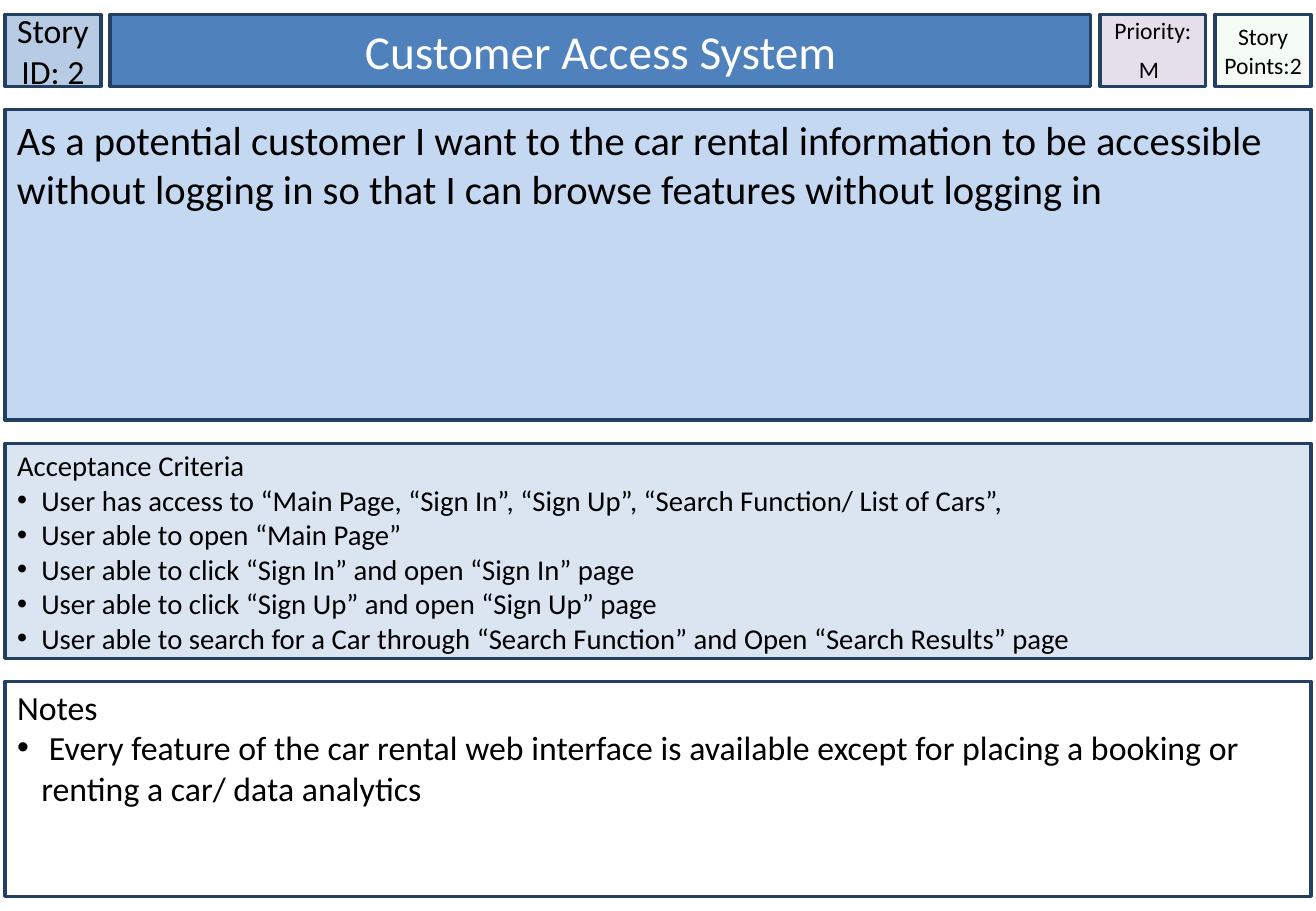
from lxml import etree
from pptx import Presentation
from pptx.dml.color import RGBColor
from pptx.enum.shapes import MSO_SHAPE
from pptx.enum.text import MSO_ANCHOR, MSO_AUTO_SIZE, PP_ALIGN
from pptx.oxml.ns import qn
from pptx.util import Inches, Pt

RECTANGLE = MSO_SHAPE.RECTANGLE
TOP, MIDDLE = MSO_ANCHOR.TOP, MSO_ANCHOR.MIDDLE
LEFT, CENTER = PP_ALIGN.LEFT, PP_ALIGN.CENTER
FIXED = MSO_AUTO_SIZE.NONE

BLACK = RGBColor(0x00, 0x00, 0x00)
WHITE = RGBColor(0xFF, 0xFF, 0xFF)
BORDER = RGBColor(0x24, 0x40, 0x61)
ID_BLUE = RGBColor(0xB7, 0xCC, 0xE4)
TITLE_BLUE = RGBColor(0x4F, 0x81, 0xBD)
STORY_BLUE = RGBColor(0xC5, 0xD8, 0xF1)
CRITERIA_BLUE = RGBColor(0xDA, 0xE5, 0xF1)
PRIORITY_LILAC = RGBColor(0xE5, 0xDF, 0xEC)
POINTS_GREEN = RGBColor(0xCC, 0xF0, 0xCD)

STORY_ID = ["Story ID: 2"]
TITLE = ["Customer Access System"]
PRIORITY = ["Priority:", "M"]
POINTS = ["Story Points:2"]
STORY = [
    "As a potential customer I want to the car rental information to be accessible "
    "without logging in so that I can browse features without logging in"
]
CRITERIA = [
    "Acceptance Criteria",
    "User has access to “Main Page, “Sign In”, “Sign Up”, “Search Function/ List of Cars”,",
    "User able to open “Main Page”",
    "User able to click “Sign In” and open “Sign In” page",
    "User able to click “Sign Up” and open “Sign Up” page",
    "User able to search for a Car through “Search Function” and Open “Search Results” page",
]
NOTES = [
    "Notes",
    " Every feature of the car rental web interface is available except for "
    "placing a booking or renting a car/ data analytics",
]

SLIDE_WIDTH, SLIDE_HEIGHT = 10.83, 7.5
MARGIN, HEADER_TOP, ROW_GAP = 0.04, 0.12, 0.19
CARD_WIDTH = SLIDE_WIDTH - 2 * MARGIN
HEADER_WIDTHS = [0.79, 8.07, 0.87, 0.79]
ROW_HEIGHTS = [0.59, 2.56, 1.77, 1.77]
COLUMN_GAP = (CARD_WIDTH - sum(HEADER_WIDTHS)) / (len(HEADER_WIDTHS) - 1)
INDENT = Inches(0.2)


def starts(first, lengths, gap):
    return [first + sum(lengths[:i]) + i * gap for i in range(len(lengths))]


def set_bullet(paragraph, bulleted):
    properties = paragraph._p.get_or_add_pPr()
    properties.set("marL", str(INDENT if bulleted else 0))
    properties.set("indent", str(-INDENT if bulleted else 0))
    if bulleted:
        etree.SubElement(properties, qn("a:buFont"), typeface="Arial")
        etree.SubElement(properties, qn("a:buChar"), char="•")
    else:
        etree.SubElement(properties, qn("a:buNone"))


def fill_panel(panel, bounds, fill, lines, size, color=BLACK, align=LEFT,
               anchor=TOP, side=0.1, top=0.05):
    panel.left, panel.top, panel.width, panel.height = map(Inches, bounds)
    panel.shadow.inherit = False
    panel.fill.solid()
    panel.fill.fore_color.rgb = fill
    panel.line.color.rgb = BORDER
    panel.line.width = Pt(2)
    frame = panel.text_frame
    frame.text = "\n".join(lines)
    frame.word_wrap = True
    frame.auto_size = FIXED
    frame.vertical_anchor = anchor
    frame.margin_left = frame.margin_right = Inches(side)
    frame.margin_top, frame.margin_bottom = Inches(top), Inches(0.05)
    for number, paragraph in enumerate(frame.paragraphs):
        set_bullet(paragraph, align == LEFT and number > 0)
        paragraph.alignment = align
        paragraph.space_before = Pt(0)
        paragraph.font.name = "Calibri"
        paragraph.font.size = Pt(size)
        paragraph.font.color.rgb = color


prs = Presentation()
prs.slide_width, prs.slide_height = Inches(SLIDE_WIDTH), Inches(SLIDE_HEIGHT)
slide = prs.slides.add_slide(prs.slide_layouts.get_by_name("Two Content"))
title, criteria, notes = list(slide.placeholders)[:3]
story_id, priority, points, story = [
    slide.shapes.add_shape(RECTANGLE, 0, 0, 0, 0) for _ in range(4)
]

row_tops = starts(HEADER_TOP, ROW_HEIGHTS, ROW_GAP)
column_lefts = starts(MARGIN, HEADER_WIDTHS, COLUMN_GAP)

header = [
    (story_id, ID_BLUE, STORY_ID, 20, BLACK, 0),
    (title, TITLE_BLUE, TITLE, 28, WHITE, 0.1),
    (priority, PRIORITY_LILAC, PRIORITY, 14, BLACK, 0),
    (points, POINTS_GREEN, POINTS, 14, BLACK, 0),
]
for (panel, fill, lines, size, color, side), left, width in zip(header, column_lefts, HEADER_WIDTHS):
    fill_panel(panel, (left, row_tops[0], width, ROW_HEIGHTS[0]), fill, lines, size,
               color, CENTER, MIDDLE, side)

body = [
    (story, STORY_BLUE, STORY, 24, 0.05),
    (criteria, CRITERIA_BLUE, CRITERIA, 17, 0.04),
    (notes, WHITE, NOTES, 20, 0.04),
]
for (panel, fill, lines, size, inset), row_top, height in zip(body, row_tops[1:], ROW_HEIGHTS[1:]):
    fill_panel(panel, (MARGIN, row_top, CARD_WIDTH, height), fill, lines, size, top=inset)

priority_space = priority.text_frame.paragraphs[1].add_run()
priority_space.text = " "
priority_space.font.size = Pt(20)

points_color = points.fill._xPr.find(qn("a:solidFill"))[0]
etree.SubElement(points_color, qn("a:alpha"), val="20000")

prs.save("out.pptx")
